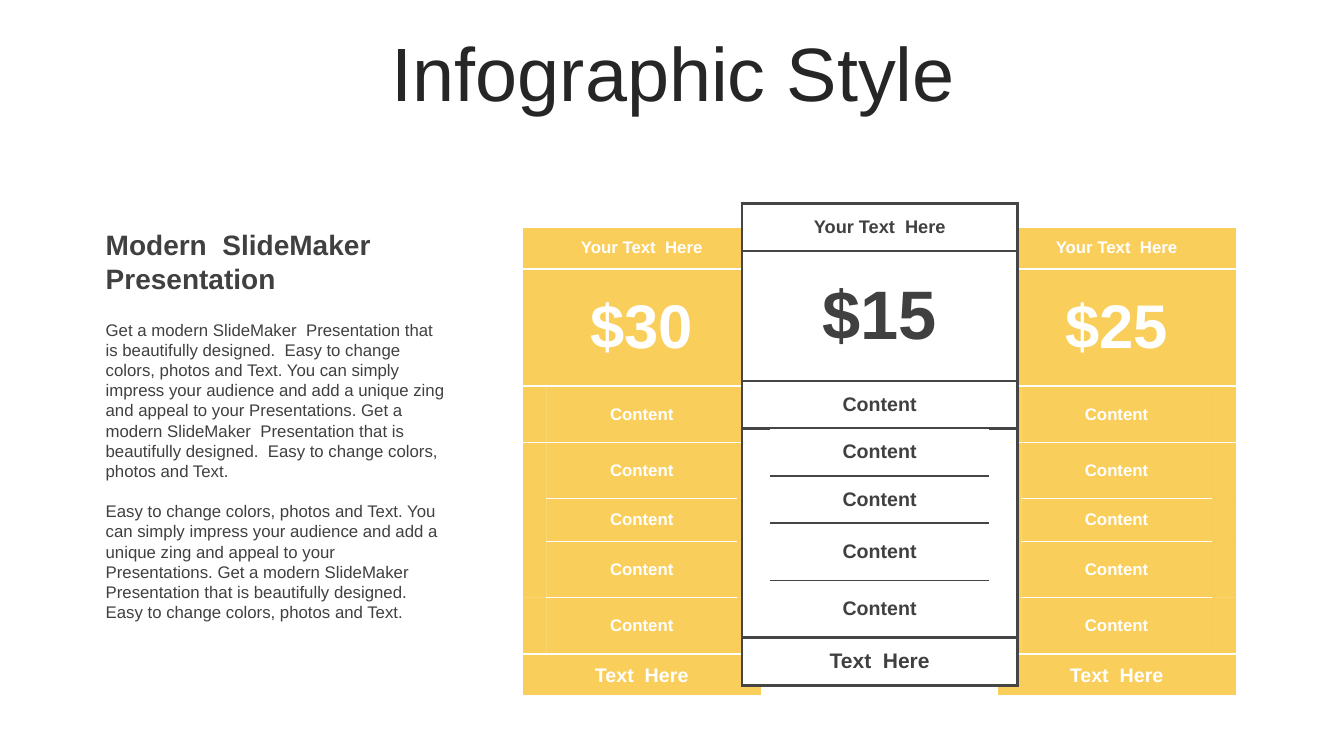
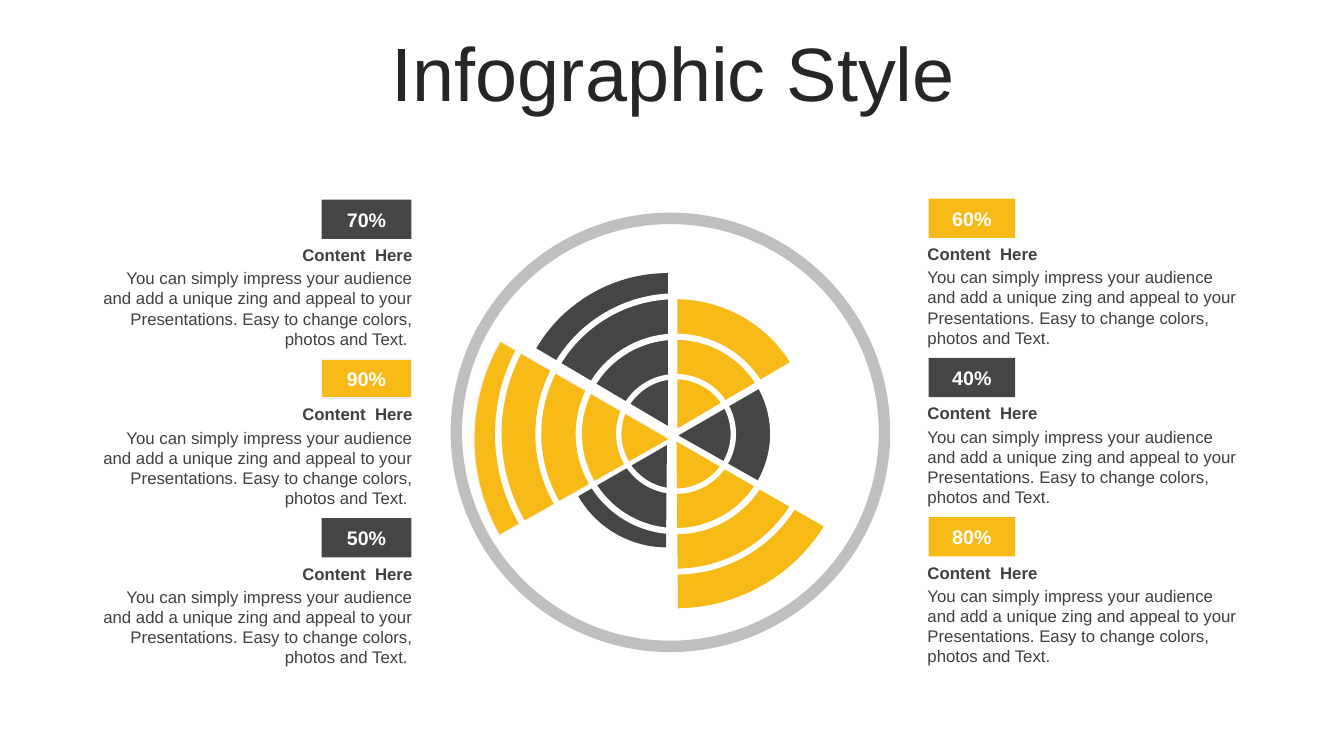
from dataclasses import dataclass

from lxml.etree import SubElement
from pptx import Presentation
from pptx.dml.color import RGBColor
from pptx.enum.shapes import MSO_SHAPE
from pptx.enum.text import MSO_ANCHOR, PP_ALIGN
from pptx.oxml.ns import qn
from pptx.util import Inches, Pt

FONT = "Arial"
WHITE = "FFFFFF"
AMBER = "F8BA16"
CHARCOAL = "454545"
TEXT = "404040"
TITLE = "262626"
RING = "BFBFBF"
PALE = "F2F2F2"
NO_STYLE = "{2D5ABB26-0587-4C30-8999-92F81FD0307C}"

HEADLINE = "Modern  SlideMaker  Presentation"
INTRO = [
    "Get a modern SlideMaker  Presentation that is beautifully designed.  "
    "Easy to change colors, photos and Text. You can simply impress your "
    "audience and add a unique zing and appeal to your Presentations. Get a "
    "modern SlideMaker  Presentation that is beautifully designed.  Easy to "
    "change colors, photos and Text.",
    "Easy to change colors, photos and Text. You can simply impress your "
    "audience and add a unique zing and appeal to your Presentations. Get a "
    "modern SlideMaker  Presentation that is beautifully designed. Easy to "
    "change colors, photos and Text.",
]
BLURB = (
    "You can simply impress your audience and add a unique zing and appeal "
    "to your Presentations. Easy to change colors, photos and Text."
)


@dataclass
class PlanStyle:
    columns: tuple
    rows: tuple
    sizes: tuple
    ink: str
    fill: str
    opacity: int
    border: str
    price_rule: float
    content_rule: float
    margins: tuple


SIDE_PLAN = PlanStyle(
    (0.25, 1.89, 0.25), (0.42, 1.16, 0.56, 0.56, 0.42, 0.56, 0.56, 0.42),
    (12, 44, 12, 14), WHITE, AMBER, 70, WHITE, 1.5, 1, (0.1, 0.05))
MAIN_PLAN = PlanStyle(
    (0.28, 2.17, 0.28), (0.47, 1.29, 0.47, 0.47, 0.47, 0.57, 0.57, 0.47),
    (13, 49, 14, 15), TEXT, WHITE, 100, CHARCOAL, 2.25, 1.5, (0.11, 0.06))


def rgb(value):
    return RGBColor.from_string(value)


def write(paragraph, text, size, color, bold=False, align=PP_ALIGN.LEFT):
    paragraph.alignment = align
    run = paragraph.add_run()
    run.text = text
    run.font.name = FONT
    run.font.size = Pt(size)
    run.font.bold = bold
    run.font.color.rgb = rgb(color)


def add_text(slide, box, paragraphs, size, color=TEXT, bold=False,
             align=PP_ALIGN.LEFT, gap=0):
    frame = slide.shapes.add_textbox(*map(Inches, box)).text_frame
    frame.word_wrap = True
    for index, text in enumerate(paragraphs):
        paragraph = frame.add_paragraph() if index else frame.paragraphs[0]
        if index:
            paragraph.space_before = Pt(gap)
        write(paragraph, text, size, color, bold, align)
    return frame


def add_title(slide):
    frame = add_text(slide, (0.35, 0.37, 12.66, 0.79), ["Infographic Style"],
                     54, TITLE, align=PP_ALIGN.CENTER)
    frame.vertical_anchor = MSO_ANCHOR.MIDDLE
    frame.paragraphs[0].line_spacing = 0.9


def add_figure(slide, kind, box, fill, outline=None):
    figure = slide.shapes.add_shape(kind, *map(Inches, box))
    figure.shadow.inherit = False
    figure.fill.solid()
    figure.fill.fore_color.rgb = rgb(fill)
    if outline:
        figure.line.color.rgb = rgb(outline)
        figure.line.width = Pt(1)
    else:
        figure.line.fill.background()
    return figure


def add_ring(slide, left, top, size, thickness, fill):
    ring = add_figure(slide, MSO_SHAPE.DONUT, (left, top, size, size), fill)
    ring.adjustments[0] = thickness


def add_sector(slide, box, fill, rotation, mirrored, outline=None):
    sector = add_figure(slide, MSO_SHAPE.PIE, box, fill, outline)
    sector.adjustments[0] = 126.3
    sector.adjustments[1] = 162
    sector.rotation = rotation
    if mirrored:
        sector._element.spPr.get_or_add_xfrm().set("flipH", "1")


def add_badge(slide, box, text, fill, outline):
    badge = add_figure(slide, MSO_SHAPE.RECTANGLE, box, fill, outline)
    frame = badge.text_frame
    frame.vertical_anchor = MSO_ANCHOR.MIDDLE
    write(frame.paragraphs[0], text, 14, WHITE, True, PP_ALIGN.CENTER)


def style_cell(cell, style, borders):
    properties = cell._tc.get_or_add_tcPr()
    for side in "LRTB":
        if side in borders:
            line = SubElement(properties, qn("a:ln" + side),
                              w=str(Pt(borders[side])))
            paint = SubElement(line, qn("a:solidFill"))
            SubElement(paint, qn("a:srgbClr"), val=style.border)
    cell.fill.solid()
    cell.fill.fore_color.rgb = rgb(style.fill)
    if style.opacity < 100:
        tint = properties.find(qn("a:solidFill")).find(qn("a:srgbClr"))
        SubElement(tint, qn("a:alpha"), val=str(style.opacity * 1000))
    cell.vertical_anchor = MSO_ANCHOR.MIDDLE
    cell.margin_left = cell.margin_right = Inches(style.margins[0])
    cell.margin_top = cell.margin_bottom = Inches(style.margins[1])


def cell_borders(row, column, last, style):
    edge = 2.25
    rules = [edge, edge, style.price_rule]
    rules += [style.content_rule] * (last - 3) + [edge, edge]
    across = row in (0, 1, last)
    borders = {}
    if across or column == 0:
        borders["L"] = edge
    if across or column == 2:
        borders["R"] = edge
    if across or column == 1 or row == 2:
        borders["T"] = rules[row]
    if across or column == 1 or row == last - 1:
        borders["B"] = rules[row + 1]
    return borders


def add_plan(slide, left, top, price, style):
    last = len(style.rows) - 1
    frame = slide.shapes.add_table(
        last + 1, 3, Inches(left), Inches(top),
        Inches(sum(style.columns)), Inches(sum(style.rows)))
    plan = frame.table
    plan.first_row = plan.horz_banding = False
    plan._tbl.tblPr.find(qn("a:tableStyleId")).text = NO_STYLE
    for column, width in zip(plan.columns, style.columns):
        column.width = Inches(width)
    heading_size, price_size, content_size, footer_size = style.sizes
    spanning = {0: ("Your Text  Here", heading_size),
                1: (price, price_size),
                last: ("Text  Here", footer_size)}
    for row, height in enumerate(style.rows):
        plan.rows[row].height = Inches(height)
        for column in range(3):
            style_cell(plan.cell(row, column), style,
                       cell_borders(row, column, last, style))
        if row in spanning:
            plan.cell(row, 0).merge(plan.cell(row, 2))
        text, size = spanning.get(row, ("Content", content_size))
        target = plan.cell(row, 0 if row in spanning else 1)
        write(target.text_frame.paragraphs[0], text, size, style.ink, True,
              PP_ALIGN.CENTER)


def add_legend(slide, entries, top, badge_left, badge_width, text_left, align):
    for index, (share, fill, outline) in enumerate(entries):
        y = top + index * 1.58
        add_badge(slide, (badge_left, y, badge_width, 0.39), share, fill,
                  outline)
        add_text(slide, (text_left, y + 0.4, 3.31, 0.3), ["Content  Here"],
                 12, bold=True, align=align)
        add_text(slide, (text_left, y + 0.63, 3.31, 0.91),
                 [BLURB + " " if align == PP_ALIGN.RIGHT else BLURB],
                 12, align=align)


def build_pricing(slide):
    add_title(slide)
    add_text(slide, (0.95, 2.21, 3.56, 0.77), [HEADLINE], 20, bold=True)
    add_text(slide, (0.95, 3.12, 3.56, 2.93), INTRO, 12, gap=14.5)
    add_plan(slide, 5.17, 2.25, "$30", SIDE_PLAN)
    add_plan(slide, 9.88, 2.25, "$25", SIDE_PLAN)
    add_plan(slide, 7.36, 2.02, "$15", MAIN_PLAN)


def build_radial(slide):
    add_title(slide)
    add_ring(slide, 4.47, 2.11, 4.36, 0.026, RING)
    add_sector(slide, (5.11, 2.71, 3.03, 3.03), CHARCOAL, 0, False)
    add_sector(slide, (4.7, 2.41, 3.89, 3.89), AMBER, 300, False, PALE)
    add_sector(slide, (5.6, 3.4, 2.03, 2.03), CHARCOAL, 240, False)
    add_sector(slide, (5.4, 2.92, 2.64, 2.66), AMBER, 0, True)
    add_sector(slide, (5.78, 3.37, 1.9, 1.9), CHARCOAL, 60, True)
    add_sector(slide, (5.01, 2.68, 3.4, 3.4), AMBER, 120, True)
    for index, thickness in enumerate((0.045, 0.031, 0.021, 0.018)):
        offset = index * 0.4
        add_ring(slide, 6.11 - offset, 3.71 - offset, 1.19 + 2 * offset,
                 thickness, WHITE)
    add_legend(slide, [("70%", CHARCOAL, None), ("90%", AMBER, PALE),
                       ("50%", CHARCOAL, None)],
               1.98, 3.19, 0.89, 0.88, PP_ALIGN.RIGHT)
    add_legend(slide, [("60%", AMBER, None), ("40%", CHARCOAL, None),
                       ("80%", AMBER, None)],
               1.97, 9.21, 0.86, 9.1, PP_ALIGN.LEFT)


def main():
    deck = Presentation()
    deck.slide_width = Inches(13.33)
    deck.slide_height = Inches(7.5)
    for build in (build_pricing, build_radial):
        build(deck.slides.add_slide(deck.slide_layouts[6]))
    deck.save("out.pptx")


if __name__ == "__main__":
    main()
